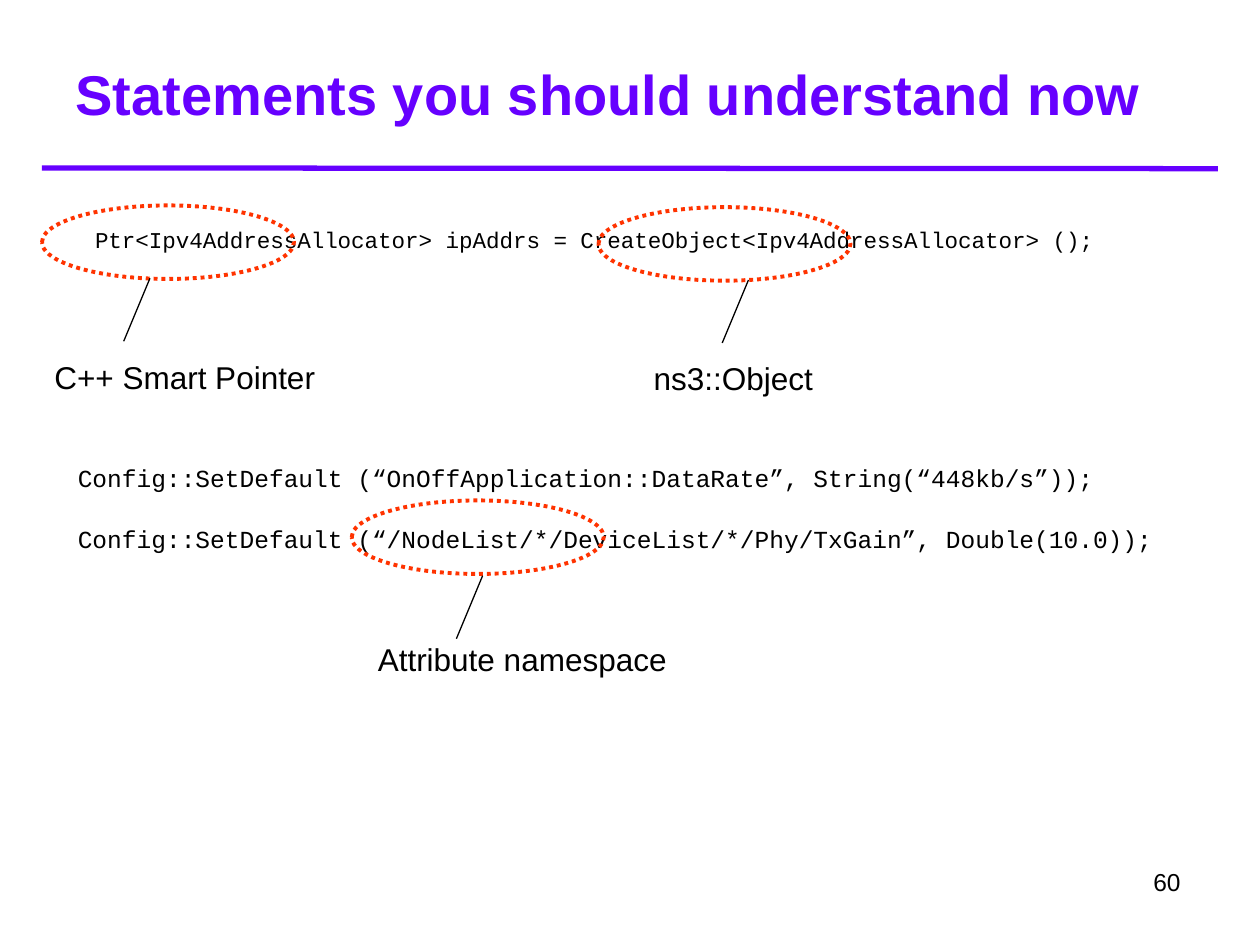
import pptx
import pptx.util
import pptx.dml.color
import pptx.enum.dml
import pptx.enum.shapes
import pptx.enum.text
import pptx.oxml

Pt = pptx.util.Pt
RGBColor = pptx.dml.color.RGBColor
ALIGN = pptx.enum.text.PP_ALIGN
FIT = pptx.enum.text.MSO_AUTO_SIZE
ANCHOR = pptx.enum.text.MSO_ANCHOR

VIOLET = RGBColor(0x66, 0x00, 0xFF)
RED = RGBColor(0xFF, 0x33, 0x00)
BLACK = RGBColor(0, 0, 0)
CODE = "Courier New"

TITLE = "Statements you should understand now"
POINTER = ["Ptr<Ipv4AddressAllocator> ipAddrs = CreateObject<Ipv4AddressAllocator> ();"]
CONFIG = [
    "Config::SetDefault (“OnOffApplication::DataRate”, String(“448kb/s”));",
    "Config::SetDefault (“/NodeList/*/DeviceList/*/Phy/TxGain”, Double(10.0));",
]
# label, label box, ring corner, leader start
NOTES = [
    ("C++ Smart Pointer", (24, 207.4, 163.4, 21.6), (24, 117.4), (85.7, 159)),
    ("ns3::Object", (366.5, 208.4, 105, 21.6), (342, 118.4), (427.7, 160)),
    ("Attribute namespace", (208.8, 368.6, 179.3, 21.6), (201, 286), (275.8, 329)),
]
RING = (144, 42)
LEADER = (-15, 36)


def write(shape, lines, size=18, font="Arial", color=BLACK, bold=False,
          align=ALIGN.LEFT, space=None, gap=0, indent=0, top=3.6,
          anchor=ANCHOR.TOP, wrap=True):
    frame = shape.text_frame
    frame.auto_size = FIT.NONE
    frame.word_wrap = wrap
    frame.vertical_anchor = anchor
    frame.margin_left = Pt(7.2 + indent)
    frame.margin_top = Pt(top)
    for i, line in enumerate(lines):
        par = frame.paragraphs[0] if i == 0 else frame.add_paragraph()
        props = par._p.get_or_add_pPr()
        props.set("marL", "0")
        props.set("indent", "0")
        props.append(pptx.oxml.parse_xml(
            '<a:buNone xmlns:a="http://schemas.openxmlformats.org/drawingml/2006/main"/>'))
        par.alignment = align
        par.space_before = Pt(gap if i else 0)
        par.line_spacing = space
        run = par.add_run()
        run.text = line
        run.font.size = Pt(size)
        run.font.name = font
        run.font.bold = bold
        run.font.color.rgb = color


def place(shape, box):
    shape.left, shape.top, shape.width, shape.height = map(Pt, box)
    return shape


def add_box(slide, box):
    return slide.shapes.add_textbox(*map(Pt, box))


def add_line(slide, start, end, color, width):
    line = slide.shapes.add_connector(
        pptx.enum.shapes.MSO_CONNECTOR.STRAIGHT, *map(Pt, (*start, *end)))
    line.line.color.rgb = color
    line.line.width = Pt(width)
    line._element.spPr.append(pptx.oxml.parse_xml(
        '<a:effectLst xmlns:a="http://schemas.openxmlformats.org/drawingml/2006/main"/>'))


def add_ring(slide, corner):
    ring = slide.shapes.add_shape(
        pptx.enum.shapes.MSO_SHAPE.OVAL, *map(Pt, (*corner, *RING)))
    ring.shadow.inherit = False
    ring.fill.background()
    ring.line.color.rgb = RED
    ring.line.width = Pt(2.25)
    ring.line.dash_style = pptx.enum.dml.MSO_LINE.ROUND_DOT


def main():
    deck = pptx.Presentation()
    deck.slide_width, deck.slide_height = Pt(720), Pt(540)
    slide = deck.slides.add_slide(deck.slide_layouts[1])

    add_line(slide, (24, 96), (696, 96.4), VIOLET, 3)
    write(place(slide.shapes.title, (36, 30.2, 648, 46)), [TITLE],
          size=32, color=VIOLET, bold=True, anchor=ANCHOR.MIDDLE)
    write(place(slide.placeholders[1], (36, 120.2, 648, 72)), POINTER,
          size=12.9, font=CODE, indent=11.1, top=9)
    write(add_box(slide, (37.4, 258.5, 648, 98.6)), CONFIG,
          size=14, font=CODE, gap=17.9, top=6)

    for label, box, corner, start in NOTES:
        add_ring(slide, corner)
        end = [a + b for a, b in zip(start, LEADER)]
        add_line(slide, start, end, BLACK, 0.75)
        write(add_box(slide, box), [label], space=0.66, wrap=False)

    write(add_box(slide, (516.2, 491.8, 165.6, 36.7)), ["60"],
          size=14, align=ALIGN.RIGHT)
    deck.save("out.pptx")


if __name__ == "__main__":
    main()
